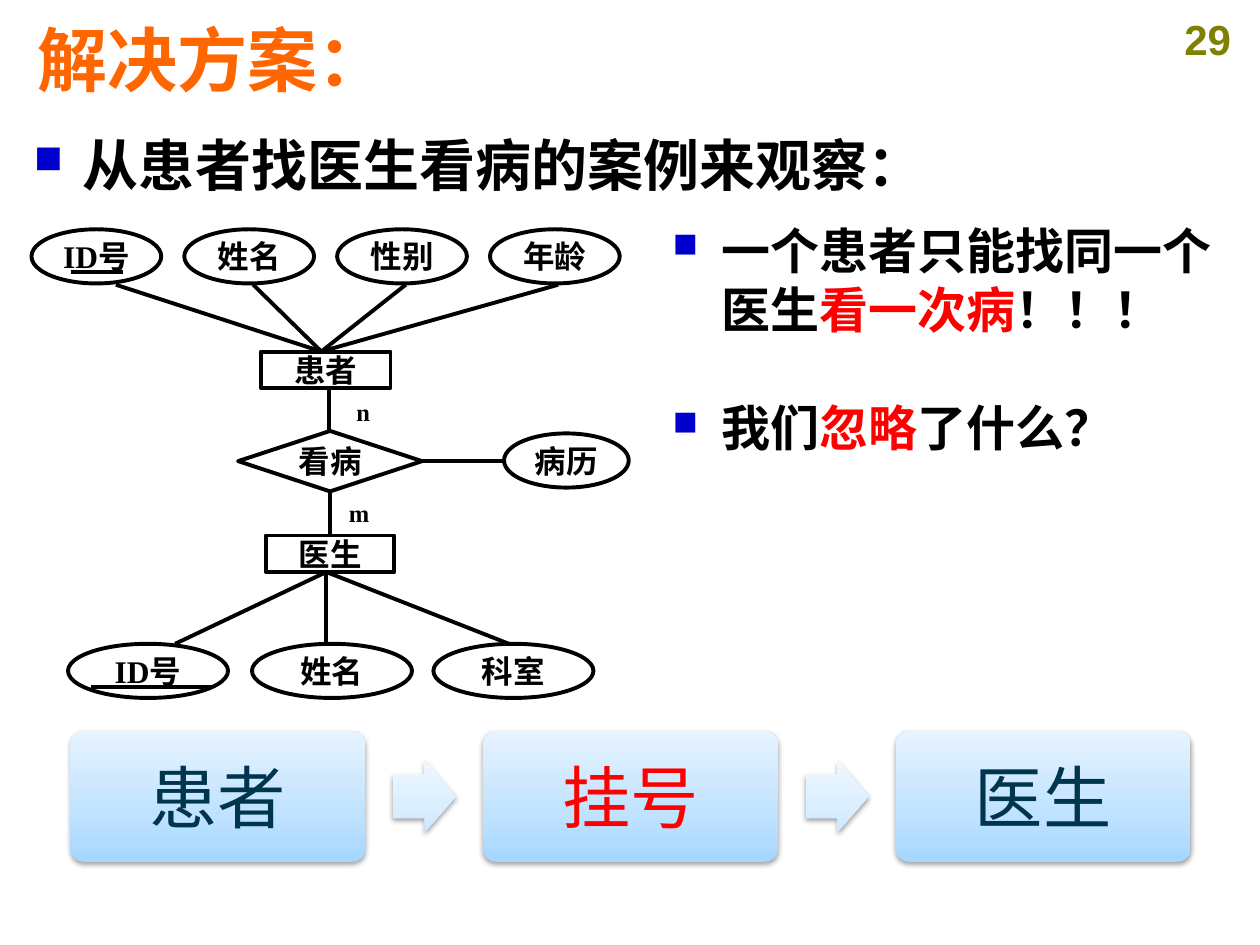
from lxml import etree
from pptx import Presentation
from pptx.dml.color import RGBColor
from pptx.enum.shapes import MSO_CONNECTOR, MSO_SHAPE
from pptx.enum.text import MSO_ANCHOR, PP_ALIGN
from pptx.oxml import parse_xml
from pptx.oxml.ns import nsdecls, qn
from pptx.util import Inches, Pt

RECT, OVAL, DIAMOND = MSO_SHAPE.RECTANGLE, MSO_SHAPE.OVAL, MSO_SHAPE.DIAMOND
CARD, ARROW = MSO_SHAPE.ROUNDED_RECTANGLE, MSO_SHAPE.RIGHT_ARROW
STRAIGHT = MSO_CONNECTOR.STRAIGHT
LEFT, CENTER = PP_ALIGN.LEFT, PP_ALIGN.CENTER
TOP, MIDDLE = MSO_ANCHOR.TOP, MSO_ANCHOR.MIDDLE

BLACK = RGBColor(0x00, 0x00, 0x00)
RED = RGBColor(0xFF, 0x00, 0x00)
ORANGE = RGBColor(0xFF, 0x66, 0x00)
OLIVE = RGBColor(0x80, 0x80, 0x00)
BULLET_BLUE = RGBColor(0x00, 0x00, 0xCC)
NAVY = RGBColor(0x00, 0x35, 0x4E)
CARD_STOPS = [(0, RGBColor(0xA5, 0xD6, 0xFF)), (35, RGBColor(0xBF, 0xE2, 0xFF)),
              (100, RGBColor(0xE7, 0xF3, 0xFF))]
ARROW_STOPS = [(0, RGBColor(0xCC, 0xE7, 0xFF)), (35, RGBColor(0xDA, 0xEE, 0xFF)),
               (100, RGBColor(0xF1, 0xF8, 0xFF))]
SERIF, SANS = "Times New Roman", "Arial"


class SlideBuilder:
    """Draws on one slide; lengths are cells of a 100 x 75 grid."""

    def __init__(self, prs):
        self.slide = prs.slides.add_slide(prs.slide_layouts[6])
        self.shapes = self.slide.shapes
        self.cell = prs.slide_width / 100

    def grid(self, *lengths):
        return [round(length * self.cell) for length in lengths]

    def add_runs(self, paragraph, runs, size, font=SERIF, bold=True):
        for text, color in runs:
            run = paragraph.add_run()
            run.text = text
            run.font.size, run.font.name, run.font.bold = Pt(size), font, bold
            run.font.color.rgb = color

    def text(self, box, text, size, color=BLACK, font=SERIF, align=LEFT, anchor=TOP):
        frame = self.shapes.add_textbox(*self.grid(*box)).text_frame
        frame.word_wrap, frame.vertical_anchor = True, anchor
        frame.paragraphs[0].alignment = align
        self.add_runs(frame.paragraphs[0], [(text, color)], size, font)

    def bullets(self, box, items, size, gap=0):
        frame = self.shapes.add_textbox(*self.grid(*box)).text_frame
        frame.word_wrap = True
        for index, runs in enumerate(items):
            paragraph = frame.add_paragraph() if index else frame.paragraphs[0]
            props = paragraph._p.get_or_add_pPr()
            props.set("marL", str(Inches(0.39)))
            props.set("indent", str(-Inches(0.39)))
            if index:
                paragraph.space_before = Pt(gap)
            color = etree.SubElement(props, qn("a:buClr"))
            etree.SubElement(color, qn("a:srgbClr"), val=str(BULLET_BLUE))
            etree.SubElement(props, qn("a:buSzPct"), val="70000")
            etree.SubElement(props, qn("a:buChar"), char="■")
            self.add_runs(paragraph, runs, size)

    def node(self, kind, box, label):
        shape = self.shapes.add_shape(kind, *self.grid(*box))
        shape.shadow.inherit = False
        shape.fill.background()
        shape.line.color.rgb, shape.line.width = BLACK, Pt(2.25)
        frame = shape.text_frame
        frame.word_wrap, frame.vertical_anchor = False, MIDDLE
        frame.paragraphs[0].alignment = CENTER
        self.add_runs(frame.paragraphs[0], [(label, BLACK)], 18)
        return shape

    def line(self, start, end):
        connector = self.shapes.add_connector(STRAIGHT, *self.grid(*start, *end))
        connector.line.color.rgb, connector.line.width = BLACK, Pt(2.25)
        etree.SubElement(connector._element.spPr, qn("a:effectLst"))
        return connector

    def join(self, first, first_side, second, second_side):
        connector = self.line((0, 0), (1, 1))
        connector.begin_connect(first, first_side)
        connector.end_connect(second, second_side)

    def step(self, kind, box, stops, adjustments, label=None, color=NAVY):
        shape = self.shapes.add_shape(kind, *self.grid(*box))
        for index, value in enumerate(adjustments):
            shape.adjustments[index] = value
        shape.line.fill.background()
        marks = "".join(f'<a:gs pos="{pos * 1000}"><a:srgbClr val="{rgb}"/></a:gs>'
                        for pos, rgb in stops)
        gradient = parse_xml(f'<a:gradFill {nsdecls("a")} rotWithShape="1"><a:gsLst>{marks}'
                             '</a:gsLst><a:lin ang="16200000" scaled="0"/></a:gradFill>')
        shadow = parse_xml(
            f'<a:effectLst {nsdecls("a")}><a:outerShdw blurRad="{Pt(3.1)}" dist="{Pt(1.6)}" '
            'dir="5400000" rotWithShape="0"><a:srgbClr val="000000"><a:alpha val="38000"/>'
            '</a:srgbClr></a:outerShdw></a:effectLst>')
        props = shape._element.spPr
        props.find(qn("a:prstGeom")).addnext(gradient)
        props.append(shadow)
        if label:
            frame = shape.text_frame
            frame.vertical_anchor = MIDDLE
            frame.paragraphs[0].alignment = CENTER
            self.add_runs(frame.paragraphs[0], [(label, color)], 39, bold=False)


def main():
    prs = Presentation()
    prs.slide_width, prs.slide_height = Inches(10), Inches(7.5)
    page = SlideBuilder(prs)

    # Heading and lead sentence
    page.text((92.3, 0.6, 7.1, 5), "29", 24, OLIVE, SANS, CENTER)
    page.text((2, 1.9, 94.7, 5.5), "解决方案：", 40, ORANGE, SANS, anchor=MIDDLE)
    page.bullets((1.7, 9.9, 96.8, 6.4), [[("从患者找医生看病的案例来观察：", BLACK)]], 32)

    # Patient entity with its attributes
    page.node(RECT, (20.7, 27.9, 10.3, 2.9), "患者")
    for index, attribute in enumerate(["ID号", "姓名", "性别", "年龄"]):
        offset = 12.13 * index
        page.node(OVAL, (2.5 + offset, 18.2, 10.3, 4.3), attribute)
        start = 20.1 + 12.1 * (index - 1) if index else 9.2
        page.line((start, 22.6), (25.5, 27.9))
    page.line((5.6, 21.6), (9.8, 21.6))

    # Doctor entity with its attributes
    doctor = page.node(RECT, (21.1, 42.5, 10.2, 2.9), "医生")
    for left, start, attribute in [(5.4, 13.9, "ID号"), (20, 25.9, "姓名"), (34.4, 40.4, "科室")]:
        page.node(OVAL, (left, 51.1, 12.7, 4.3), attribute)
        page.line((start, 51.1), (25.9, 45.4))
    page.line((7.2, 54.5), (16.9, 54.5))

    # Visit relationship with its record and cardinalities
    visit = page.node(DIAMOND, (18.9, 34.2, 14.6, 4.8), "看病")
    record = page.node(OVAL, (40, 34.4, 9.9, 4.3), "病历")
    page.line((26.1, 34.2), (26.1, 30.8))
    page.join(visit, 2, doctor, 0)
    # An ellipse has eight connection sites; its left one is number 2
    link = page.line((33.5, 36.6), (40, 36.6))
    link.begin_connect(visit, 3)
    page.text((27.3, 31, 2.8, 3.4), "n", 14)
    page.text((26.7, 39, 2.8, 3.4), "m", 14)

    # Observations
    page.bullets((52.4, 17, 45.4, 23.9), [
        [("一个患者只能找同一个医生", BLACK), ("看一次病", RED), ("！！！", BLACK)],
        [("我们", BLACK), ("忽略", RED), ("了什么？", BLACK)],
    ], 28, gap=34)

    # Process: patient, registration, doctor
    for index, (label, color) in enumerate([("患者", NAVY), ("挂号", RED), ("医生", NAVY)]):
        left = 5.6 + 32.75 * index
        page.step(CARD, (left, 58, 23.4, 10.4), CARD_STOPS, [0.1], label, color)
        if index < 2:
            page.step(ARROW, (left + 25.6, 60.3, 5, 5.8), ARROW_STOPS, [0.6, 0.5])

    prs.save("out.pptx")


if __name__ == "__main__":
    main()
